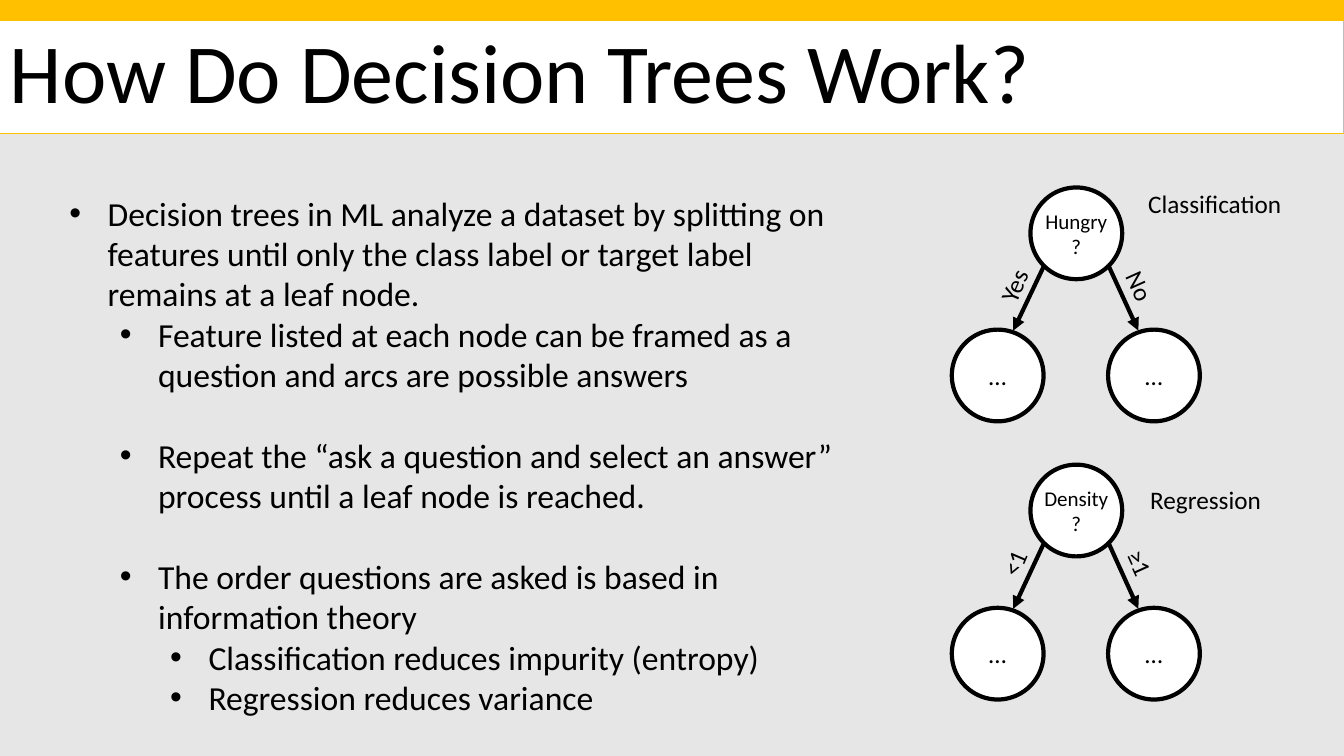
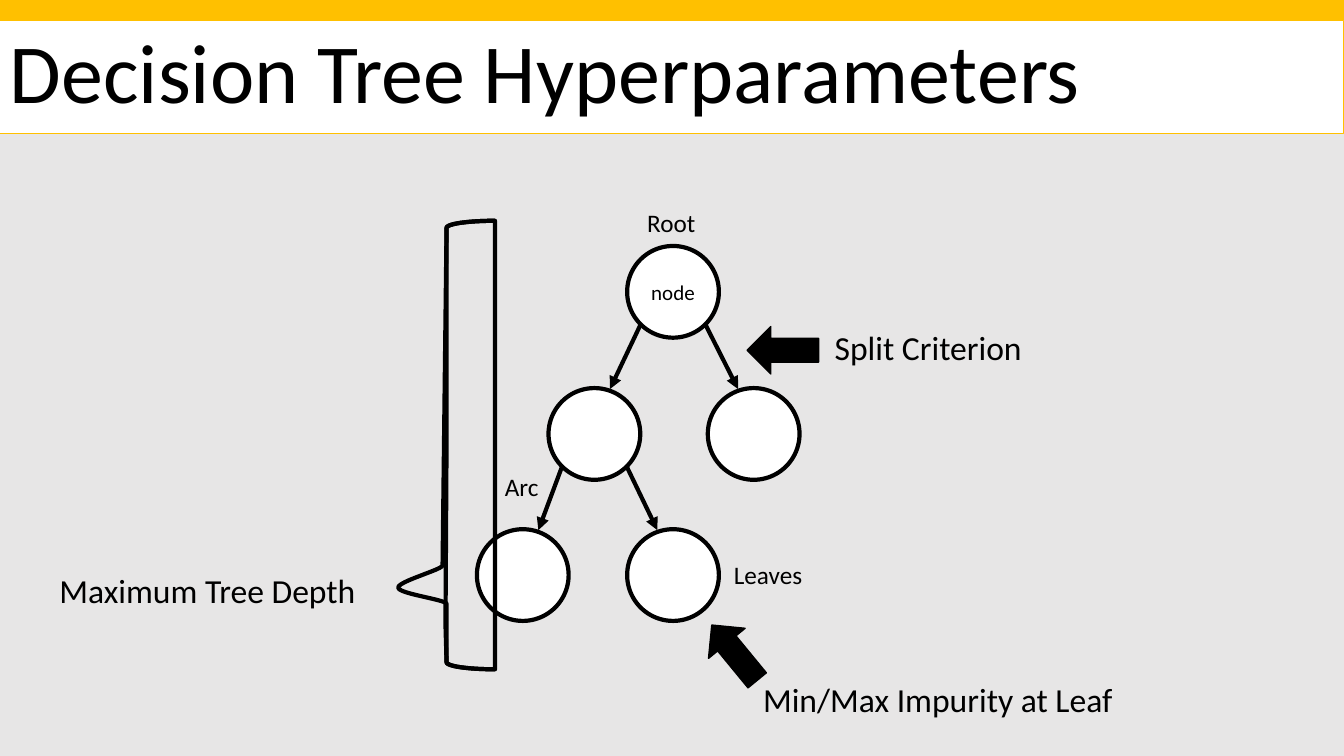
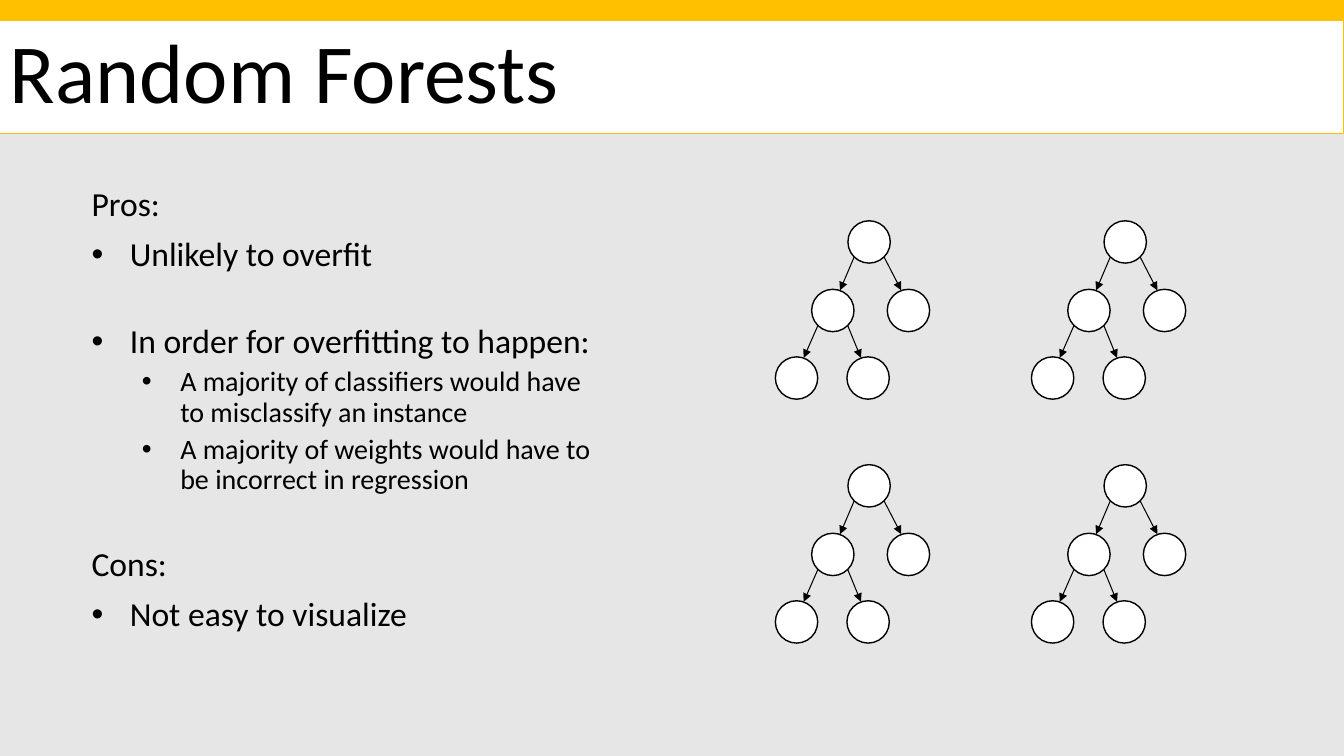
"""Build three slides on decision trees and random forests."""
from math import comb

from lxml import etree
from pptx import Presentation
from pptx.dml.color import RGBColor
from pptx.enum.shapes import MSO_CONNECTOR as CONNECTOR, MSO_SHAPE as SHAPE
from pptx.enum.text import MSO_ANCHOR as ANCHOR, PP_ALIGN as ALIGN
from pptx.oxml.ns import qn
from pptx.util import Inches, Pt

BLACK = RGBColor(0x00, 0x00, 0x00)
WHITE = RGBColor(0xFF, 0xFF, 0xFF)
GOLD = RGBColor(0xFF, 0xC0, 0x00)
GRAY = RGBColor(0xE7, 0xE6, 0xE6)
FONT = "Calibri"


def set_text(frame, text, size, align=ALIGN.LEFT):
    """Put one formatted paragraph in a text frame."""
    paragraph = frame.paragraphs[0]
    paragraph.alignment = align
    run = paragraph.add_run()
    run.text = text
    for name, value in {"name": FONT, "size": Pt(size)}.items():
        setattr(run.font, name, value)
    run.font.color.rgb = BLACK
    return paragraph


def add_box(slide, kind, at, fill, line, weight):
    """Add a filled and outlined preset shape."""
    shape = slide.shapes.add_shape(kind, *map(Inches, at))
    shape.shadow.inherit = False
    shape.fill.solid()
    shape.fill.fore_color.rgb = fill
    shape.line.color.rgb = line
    shape.line.width = Pt(weight)
    return shape


presentation = Presentation()
presentation.slide_width = Inches(13.33)
presentation.slide_height = Inches(7.5)

slides = []
for title in ("How Do Decision Trees Work?", "Decision Tree Hyperparameters", "Random Forests"):
    slide = presentation.slides.add_slide(presentation.slide_layouts[6])
    slide.background.fill.solid()
    slide.background.fill.fore_color.rgb = GRAY
    add_box(slide, SHAPE.RECTANGLE, (0, 0, 13.33, 0.39), GOLD, GOLD, 1)
    title_bar = add_box(slide, SHAPE.RECTANGLE, (0, 0.2, 13.33, 1.12), WHITE, GOLD, 0.75)
    title_bar.text_frame.vertical_anchor = ANCHOR.MIDDLE
    set_text(title_bar.text_frame, title, 60).line_spacing = 0.9
    slides.append(slide)
work_slide, parameter_slide, forest_slide = slides

work_items = [
    (0, 24, 0, "Decision trees in ML analyze a dataset by splitting on features until only the class label or target label remains at a leaf node."),
    (1, 24, 0, "Feature listed at each node can be framed as a question and arcs are possible answers"),
    (1, 24, 29, "Repeat the “ask a question and select an answer” process until a leaf node is reached."),
    (1, 24, 29, "The order questions are asked is based in information theory"),
    (2, 24, 0, "Classification reduces impurity (entropy)"),
    (2, 24, 0, "Regression reduces variance"),
]
forest_items = [
    (None, 24, 0, "Pros:"),
    (0, 24, 10, "Unlikely to overfit"),
    (0, 24, 36, "In order for overfitting to happen:"),
    (1, 20, 5, "A majority of classifiers would have to misclassify an instance"),
    (1, 20, 5, "A majority of weights would have to be incorrect in regression"),
    (None, 24, 37, "Cons:"),
    (0, 24, 10, "Not easy to visualize"),
]
for slide, at, spacing, items in (
    (work_slide, (0.59, 1.86, 7.8, 5.35), 1.0, work_items),
    (forest_slide, (0.81, 1.81, 5.27, 5.22), 0.9, forest_items),
):
    frame = slide.shapes.add_textbox(*map(Inches, at)).text_frame
    frame.word_wrap = True
    for index, (level, size, before, text) in enumerate(items):
        paragraph = frame.add_paragraph() if index else frame.paragraphs[0]
        formats = {"level": level or 0, "line_spacing": spacing, "space_before": Pt(before)}
        for name, value in formats.items():
            setattr(paragraph, name, value)
        run = paragraph.add_run()
        run.text = text
        run.font.name = FONT
        run.font.size = Pt(size)
        run.font.color.rgb = BLACK
        if level is not None:
            properties = paragraph._p.get_or_add_pPr()
            properties.set("marL", str(Inches(0.38 + 0.5 * level)))
            properties.set("indent", str(Inches(-0.38)))
            etree.SubElement(properties, qn("a:buFont")).set("typeface", "Arial")
            etree.SubElement(properties, qn("a:buChar")).set("char", "•")

trees = [
    (work_slide, 10.22, 1.86, 0.91, 3, 3, "Hungry?", "…", [(-0.78, 0.77, 1.41)]),
    (work_slide, 10.22, 4.61, 0.91, 3, 3, "Density?", "…", [(-0.78, 0.77, 1.42)]),
    (parameter_slide, 6.22, 2.44, 0.91, 3, 3, "node", "",
     [(-0.78, 0.8, 1.41), (-0.71, 0.78, 1.4)]),
]
for row in range(2):
    for column in range(2):
        trees.append((forest_slide, 8.41 + 2.54 * column, 2.19 + 2.42 * row, 0.42, 1, 0.75,
                      "", "", [(-0.36, 0.39, 0.68), (-0.36, 0.35, 0.67)]))

for slide, x, y, diameter, weight, arrow_weight, root_text, child_text, branches in trees:
    nodes = [(x, y, root_text, 15)]
    for left, right, drop in branches:
        for offset, start, end in ((left, 0.15, 0.67), (right, 0.85, 0.33)):
            arrow = slide.shapes.add_connector(
                CONNECTOR.STRAIGHT,
                Inches(x + start * diameter), Inches(y + 0.85 * diameter),
                Inches(x + offset + end * diameter), Inches(y + drop + 0.01))
            arrow.line.color.rgb = BLACK
            arrow.line.width = Pt(arrow_weight)
            etree.SubElement(arrow.get_or_add_ln(), qn("a:tailEnd")).set("type", "triangle")
            etree.SubElement(arrow.element.spPr, qn("a:effectLst"))
            nodes.append((x + offset, y + drop, child_text, 18))
        x, y = x + left, y + drop
    for node_x, node_y, text, size in nodes:
        node = add_box(slide, SHAPE.OVAL, (node_x, node_y, diameter, diameter), WHITE, BLACK, weight)
        if text:
            frame = node.text_frame
            frame.margin_left = frame.margin_right = 0
            frame.vertical_anchor = ANCHOR.MIDDLE
            set_text(frame, text, size, ALIGN.CENTER)

bracket_body = [
    [(4.91, 6.64)],
    [(4.65, 6.64), (4.43, 6.61), (4.43, 6.57)],
    [(4.42, 6.23)],
    [(4.42, 6.02)],
    [(4.43, 4.35)],
    [(4.43, 2.26)],
    [(4.43, 2.22), (4.65, 2.19), (4.91, 2.19)],
    [(4.91, 6.64)],
]
bracket_edge = [
    [(4.91, 6.64)],
    [(4.65, 6.64), (4.43, 6.61), (4.43, 6.57)],
    [(4.43, 5.99)],
    [(4.43, 5.95), (3.95, 5.89), (3.95, 5.83)],
    [(3.94, 5.77), (4.39, 5.65), (4.39, 5.61)],
    [(4.43, 2.26)],
    [(4.43, 2.22), (4.65, 2.19), (4.91, 2.19)],
]
builder = parameter_slide.shapes.build_freeform(Inches(4.91), Inches(6.64))
for outline, closed in ((bracket_body, True), (bracket_edge, False)):
    current = outline[0][0]
    points = []
    for segment in outline[1:]:
        controls = [current, *segment]
        degree = len(segment)
        steps = 1 if degree == 1 else 12
        for step in range(1, steps + 1):
            t = step / steps
            weights = [comb(degree, i) * t**i * (1 - t) ** (degree - i) for i in range(degree + 1)]
            points.append(tuple(
                Inches(sum(w * control[axis] for w, control in zip(weights, controls)))
                for axis in (0, 1)))
        current = segment[-1]
    if not closed:
        builder.move_to(*map(Inches, outline[0][0]))
    builder.add_line_segments(points, close=closed)
bracket = builder.convert_to_shape()
bracket.shadow.inherit = False
bracket.fill.background()
bracket.line.color.rgb = BLACK
bracket.line.width = Pt(3)

for at, rotation in (((7.05, 6.12, 0.47, 0.71), 320.6), ((7.53, 3.12, 0.47, 0.71), 270)):
    add_box(parameter_slide, SHAPE.UP_ARROW, at, BLACK, BLACK, 1).rotation = rotation

labels = [
    (work_slide, 11.29, 1.82, 1.54, 18, 0, "Classification"),
    (work_slide, 9.79, 2.63, 0.53, 18, 293.2, "Yes"),
    (work_slide, 11.06, 2.64, 0.5, 18, 65.7, "No"),
    (work_slide, 11.31, 4.76, 1.31, 18, 0, "Regression"),
    (work_slide, 9.83, 5.38, 0.46, 18, 293.2, "<1"),
    (work_slide, 11.08, 5.39, 0.46, 18, 65.7, "≥1"),
    (parameter_slide, 0.49, 5.6, 3.17, 24, 0, "Maximum Tree Depth"),
    (parameter_slide, 4.91, 4.63, 0.54, 18, 0, "Arc"),
    (parameter_slide, 7.18, 5.5, 0.89, 18, 0, "Leaves"),
    (parameter_slide, 6.32, 2.01, 0.68, 18, 0, "Root"),
    (parameter_slide, 7.47, 6.69, 3.7, 24, 0, "Min/Max Impurity at Leaf"),
    (parameter_slide, 8.18, 3.19, 2.07, 24, 0, "Split Criterion"),
]
for slide, x, y, width, size, rotation, text in labels:
    height = 0.5 if size == 24 else 0.4
    label = slide.shapes.add_textbox(*map(Inches, (x, y, width, height)))
    label.rotation = rotation
    label.text_frame.word_wrap = False
    set_text(label.text_frame, text, size)

presentation.save("out.pptx")
